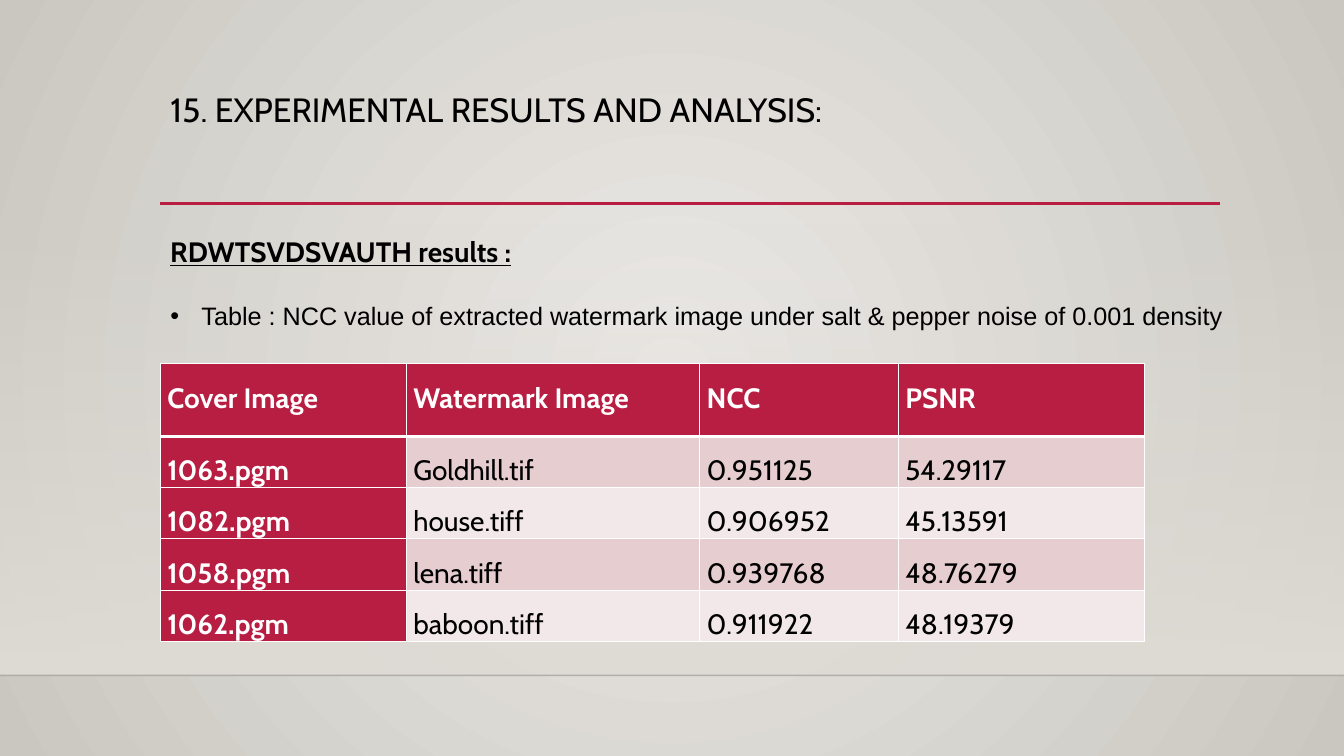
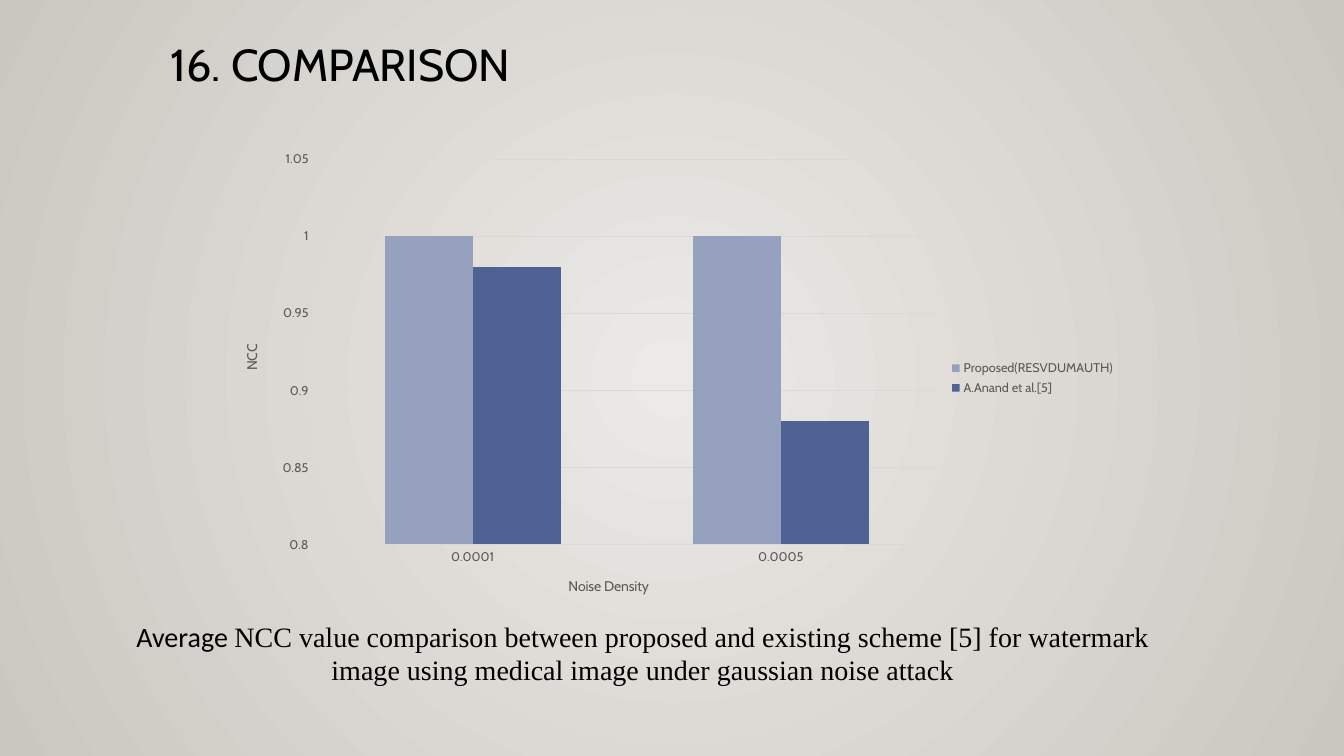
import dataclasses
import typing

import lxml.etree
import pptx
import pptx.chart.data
import pptx.dml.color
import pptx.enum.chart
import pptx.enum.shapes
import pptx.enum.text
import pptx.oxml
import pptx.oxml.ns
import pptx.util

EMU_PER_PX = 9144  # 100 px to the inch
SLIDE_WIDTH, SLIDE_HEIGHT = 1333, 750
LEFT = 159
CONTENT_WIDTH = 1050
TITLE_ONLY_LAYOUT = 5

COLORS = {
    "text": "000000",
    "white": "FFFFFF",
    "accent": "B71E42",
    "glow": "ECEAE7",
    "edge": "CAC7C1",
    "floor": "DFDBD5",
    "floor_line": "000001",
    "row_dark": "E6CDCF",
    "row_light": "F3E8E9",
    "axis_text": "595959",
    "grid": "D9D9D9",
    "proposed": "96A0BF",
    "existing": "4E6293",
}

ALIGN = pptx.enum.text.PP_ALIGN
ANCHOR = pptx.enum.text.MSO_ANCHOR
qn = pptx.oxml.ns.qn


class Box(typing.NamedTuple):
    left: int
    top: int
    width: int
    height: int


@dataclasses.dataclass(frozen=True)
class Run:
    text: str
    size: int
    font: str = "Cabin"
    color: str = "text"
    bold: bool = False
    underline: bool = False


@dataclasses.dataclass(frozen=True)
class Line:
    start: tuple[int, int]
    end: tuple[int, int]
    color: str
    width: float
    opacity: int = 100


@dataclasses.dataclass(frozen=True)
class Series:
    name: str
    values: tuple[float, ...]
    color: str


# Shared helpers
def px(length: int) -> pptx.util.Emu:
    return pptx.util.Emu(length * EMU_PER_PX)


def place(box: Box) -> list[pptx.util.Emu]:
    return [px(length) for length in box]


def rgb(name: str) -> pptx.dml.color.RGBColor:
    return pptx.dml.color.RGBColor.from_string(COLORS[name])


def apply_format(target: typing.Any, values: dict[str, typing.Any]) -> None:
    for name, value in values.items():
        setattr(target, name, value)


def format_font(font: typing.Any, size: int, color: str, name: str = "Cabin",
                bold: bool = False, underline: bool = False) -> None:
    apply_format(font, {"size": pptx.util.Pt(size), "name": name,
                        "bold": bold, "underline": underline})
    font.color.rgb = rgb(color)


def add_run(paragraph: typing.Any, run: Run) -> None:
    text_run = paragraph.add_run()
    text_run.text = run.text
    format_font(text_run.font, run.size, run.color, run.font, run.bold, run.underline)


def set_opacity(color_element: typing.Any, percent: int) -> None:
    alpha = lxml.etree.SubElement(color_element, qn("a:alpha"))
    alpha.set("val", str(percent * 1000))


def set_gradient(fill: typing.Any, start: str, end: str) -> None:
    fill.gradient()
    for stop, color in zip(fill.gradient_stops, (start, end)):
        stop.color.rgb = rgb(color)


def set_background(master: typing.Any) -> None:
    set_gradient(master.background.fill, "glow", "edge")
    gradient = master.element.find(".//" + qn("a:gradFill"))
    for linear in gradient.findall(qn("a:lin")):
        gradient.remove(linear)
    circle = lxml.etree.SubElement(gradient, qn("a:path"), {"path": "circle"})
    lxml.etree.SubElement(circle, qn("a:fillToRect"),
                          {side: "50000" for side in "ltrb"})


def add_titled_slide(presentation: typing.Any, title: Run, box: Box) -> typing.Any:
    slide = presentation.slides.add_slide(presentation.slide_layouts[TITLE_ONLY_LAYOUT])
    shape = slide.shapes.title
    apply_format(shape, dict(zip(("left", "top", "width", "height"), place(box))))
    apply_format(shape.text_frame, {
        "vertical_anchor": ANCHOR.TOP, "word_wrap": True,
        "auto_size": pptx.enum.text.MSO_AUTO_SIZE.NONE})
    paragraph = shape.text_frame.paragraphs[0]
    apply_format(paragraph, {"alignment": ALIGN.LEFT, "line_spacing": 0.9})
    add_run(paragraph, title)
    return slide


def add_line(slide: typing.Any, line: Line) -> None:
    connector = slide.shapes.add_connector(
        pptx.enum.shapes.MSO_CONNECTOR.STRAIGHT,
        *(px(length) for length in line.start + line.end))
    connector.line.width = pptx.util.Pt(line.width)
    connector.line.color.rgb = rgb(line.color)
    properties = connector.element.spPr
    if line.opacity < 100:
        set_opacity(properties.find(".//" + qn("a:srgbClr")), line.opacity)
    lxml.etree.SubElement(properties, qn("a:effectLst"))


def add_text(slide: typing.Any, box: Box, runs: list[Run], alignment: typing.Any,
             anchor: typing.Any = ANCHOR.TOP, bullet_indent: int = 0) -> None:
    frame = slide.shapes.add_textbox(*place(box)).text_frame
    apply_format(frame, {"word_wrap": True, "vertical_anchor": anchor,
                         "auto_size": pptx.enum.text.MSO_AUTO_SIZE.SHAPE_TO_FIT_TEXT})
    paragraph = frame.paragraphs[0]
    paragraph.alignment = alignment
    for run in runs:
        add_run(paragraph, run)
    if bullet_indent:
        properties = paragraph._p.get_or_add_pPr()
        properties.set("marL", str(px(bullet_indent)))
        properties.set("indent", str(-px(bullet_indent)))
        lxml.etree.SubElement(properties, qn("a:buFont"), {"typeface": "Arial"})
        lxml.etree.SubElement(properties, qn("a:buChar"), {"char": "•"})


def add_floor(slide: typing.Any) -> None:
    band = slide.shapes.add_shape(pptx.enum.shapes.MSO_SHAPE.RECTANGLE,
                                  *place(Box(0, 221, SLIDE_WIDTH, 449)))
    band.shadow.inherit = False
    band.line.fill.background()
    set_gradient(band.fill, "floor", "floor")
    band.fill.gradient_angle = 270
    set_opacity(band.element.spPr.find(".//" + qn("a:srgbClr")), 0)
    add_line(slide, Line((0, 670), (SLIDE_WIDTH, 670), "floor_line", 1, 20))
    add_line(slide, Line((LEFT, 202), (1210, 202), "accent", 2.5))


# Results table
def set_borders(cell: typing.Any, bottom_width: int) -> None:
    properties = cell._tc.get_or_add_tcPr()
    widths = {"lnL": 1, "lnR": 1, "lnT": 1, "lnB": bottom_width}
    for position, (side, width) in enumerate(widths.items()):
        border = pptx.oxml.parse_xml(
            f'<a:{side} {pptx.oxml.ns.nsdecls("a")} w="{pptx.util.Pt(width)}">'
            f'<a:solidFill><a:srgbClr val="{COLORS["white"]}"/></a:solidFill></a:{side}>')
        properties.insert(position, border)


def add_results_table(slide: typing.Any, box: Box, column_widths: list[int],
                      row_heights: list[int], rows: list[tuple[str, ...]]) -> None:
    table = slide.shapes.add_table(len(rows), len(column_widths), *place(box)).table
    for column, width in zip(table.columns, column_widths):
        column.width = px(width)
    for row, height in zip(table.rows, row_heights):
        row.height = px(height)
    for row_index, values in enumerate(rows):
        is_header = row_index == 0
        for column_index, value in enumerate(values):
            strong = is_header or column_index == 0
            stripe = "row_dark" if row_index % 2 else "row_light"
            cell = table.cell(row_index, column_index)
            apply_format(cell, {
                "margin_left": px(7), "margin_right": px(7),
                "margin_top": 0, "margin_bottom": 0,
                "vertical_anchor": ANCHOR.TOP if is_header else ANCHOR.BOTTOM})
            cell.fill.solid()
            cell.fill.fore_color.rgb = rgb("accent" if strong else stripe)
            set_borders(cell, 3 if is_header else 1)
            paragraph = cell.text_frame.paragraphs[0]
            apply_format(paragraph, {"alignment": ALIGN.JUSTIFY, "line_spacing": 1.5,
                                     "space_after": pptx.util.Pt(8)})
            add_run(paragraph, Run(value, 20, color="white" if strong else "text",
                                   bold=strong))


# Comparison chart
def format_axis(axis: typing.Any, title: str, tick_mark: typing.Any) -> None:
    apply_format(axis, {"major_tick_mark": tick_mark,
                        "minor_tick_mark": pptx.enum.chart.XL_TICK_MARK.NONE})
    format_font(axis.tick_labels.font, 9, "axis_text")
    paragraph = axis.axis_title.text_frame.paragraphs[0]
    add_run(paragraph, Run(title, 10, color="axis_text"))


def set_plot_area(chart: typing.Any, fractions: dict[str, float]) -> None:
    plot_area = chart._chartSpace.chart.plotArea
    for layout in plot_area.findall(qn("c:layout")):
        plot_area.remove(layout)
    layout = lxml.etree.Element(qn("c:layout"))
    manual = lxml.etree.SubElement(layout, qn("c:manualLayout"))
    settings = {"layoutTarget": "inner", "xMode": "edge", "yMode": "edge", **fractions}
    for name, value in settings.items():
        lxml.etree.SubElement(manual, qn(f"c:{name}"), {"val": str(value)})
    plot_area.insert(0, layout)


def add_comparison_chart(slide: typing.Any, box: Box, categories: list[str],
                         series_list: list[Series]) -> None:
    data = pptx.chart.data.CategoryChartData()
    data.categories = categories
    for series in series_list:
        data.add_series(series.name, series.values)
    chart = slide.shapes.add_chart(pptx.enum.chart.XL_CHART_TYPE.COLUMN_CLUSTERED,
                                   *place(box), data).chart
    apply_format(chart, {"has_title": False, "has_legend": True})
    format_font(chart.font, 10, "text")
    apply_format(chart.legend, {"position": pptx.enum.chart.XL_LEGEND_POSITION.RIGHT,
                                "include_in_layout": False})
    format_font(chart.legend.font, 9, "axis_text")

    plot = chart.plots[0]
    apply_format(plot, {"gap_width": 150, "overlap": 0, "vary_by_categories": False})
    for drawn, series in zip(plot.series, series_list):
        drawn.format.fill.solid()
        drawn.format.fill.fore_color.rgb = rgb(series.color)

    tick_marks = pptx.enum.chart.XL_TICK_MARK
    format_axis(chart.category_axis, "Noise Density", tick_marks.NONE)
    format_axis(chart.value_axis, "NCC", tick_marks.OUTSIDE)
    apply_format(chart.value_axis, {"minimum_scale": 0.8, "maximum_scale": 1.05,
                                    "major_unit": 0.05, "has_major_gridlines": True})
    chart.value_axis.format.line.fill.background()
    for line in (chart.category_axis.format.line,
                 chart.value_axis.major_gridlines.format.line):
        line.color.rgb = rgb("grid")
        line.width = pptx.util.Pt(0.75)
    set_plot_area(chart, {"x": 0.11, "y": 0.04, "w": 0.68, "h": 0.81})


# Slides
def build_results(presentation: typing.Any) -> None:
    slide = add_titled_slide(presentation, Run("15. EXPERIMENTAL RESULTS AND ANALYSIS:", 24),
                             Box(LEFT, 88, CONTENT_WIDTH, 79))
    add_floor(slide)
    add_results_table(slide, Box(LEFT, 361, 976, 264), [244, 291, 197, 244],
                      [72] + [48] * 4, [
        ("Cover Image", "Watermark Image", "NCC", "PSNR"),
        ("1063.pgm", "Goldhill.tif", "0.951125", "54.29117"),
        ("1082.pgm", "house.tiff", "0.906952", "45.13591"),
        ("1058.pgm", "lena.tiff", "0.939768", "48.76279"),
        ("1062.pgm", "baboon.tiff", "0.911922", "48.19379"),
    ])
    caption = ("Table : NCC value of extracted watermark image under "
               "salt & pepper noise of 0.001 density")
    add_text(slide, Box(LEFT, 293, 1109, 40), [Run(caption, 18, "Arial")],
             ALIGN.JUSTIFY, ANCHOR.MIDDLE, bullet_indent=31)
    add_text(slide, Box(LEFT, 228, 474, 44),
             [Run("RDWTSVDSVAUTH results :", 20, bold=True, underline=True)], ALIGN.LEFT)


def build_comparison(presentation: typing.Any) -> None:
    slide = add_titled_slide(presentation, Run("16. COMPARISON", 32),
                             Box(LEFT, 37, CONTENT_WIDTH, 115))
    caption = ("NCC value comparison between proposed and existing scheme [5] for "
               "watermark image using medical image under gaussian noise attack")
    add_text(slide, Box(110, 609, 1055, 77),
             [Run("Average ", 20, "Calibri"), Run(caption, 20, "Times New Roman")],
             ALIGN.CENTER, ANCHOR.MIDDLE)
    add_comparison_chart(slide, Box(217, 139, 899, 472), ["0.0001", "0.0005"], [
        Series("Proposed(RESVDUMAUTH)", (1, 1), "proposed"),
        Series("A.Anand et al.[5]", (0.98, 0.88), "existing"),
    ])


def main() -> None:
    presentation = pptx.Presentation()
    apply_format(presentation, {"slide_width": px(SLIDE_WIDTH),
                                "slide_height": px(SLIDE_HEIGHT)})
    set_background(presentation.slide_master)
    build_results(presentation)
    build_comparison(presentation)
    presentation.save("out.pptx")


if __name__ == "__main__":
    main()
